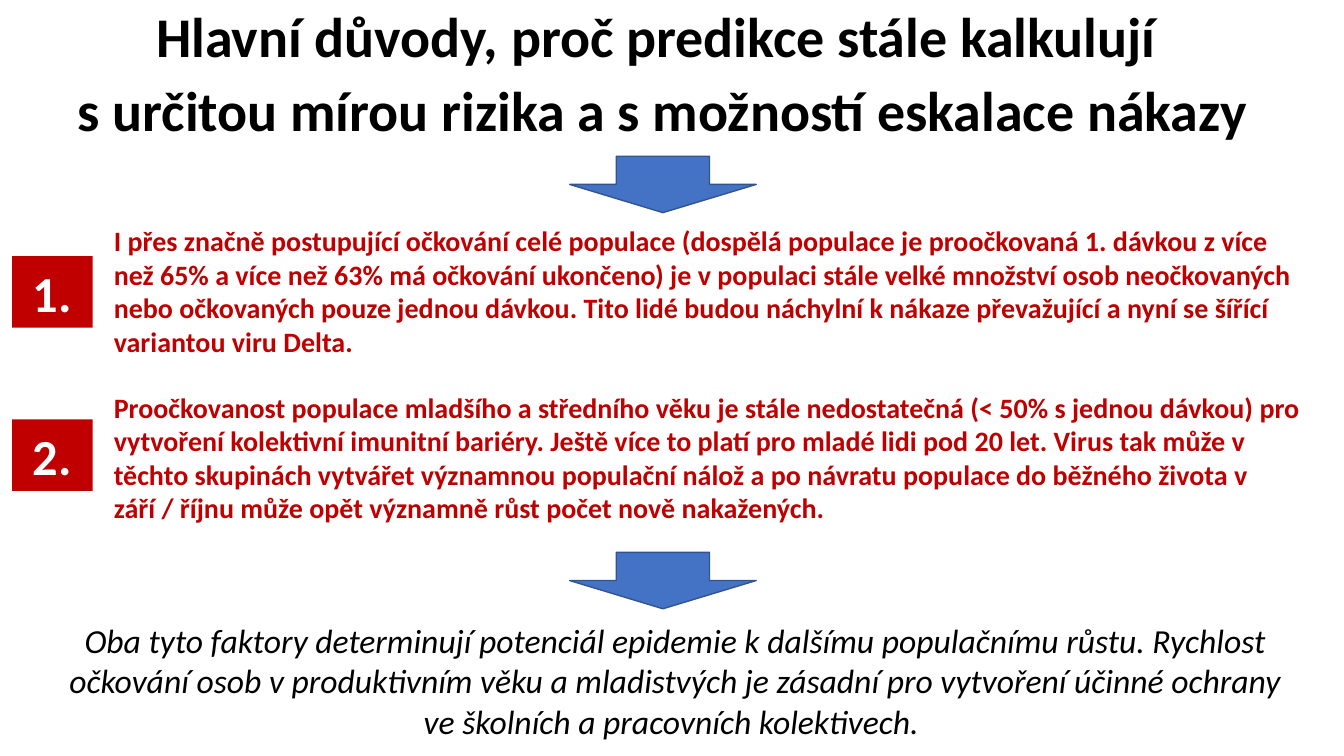
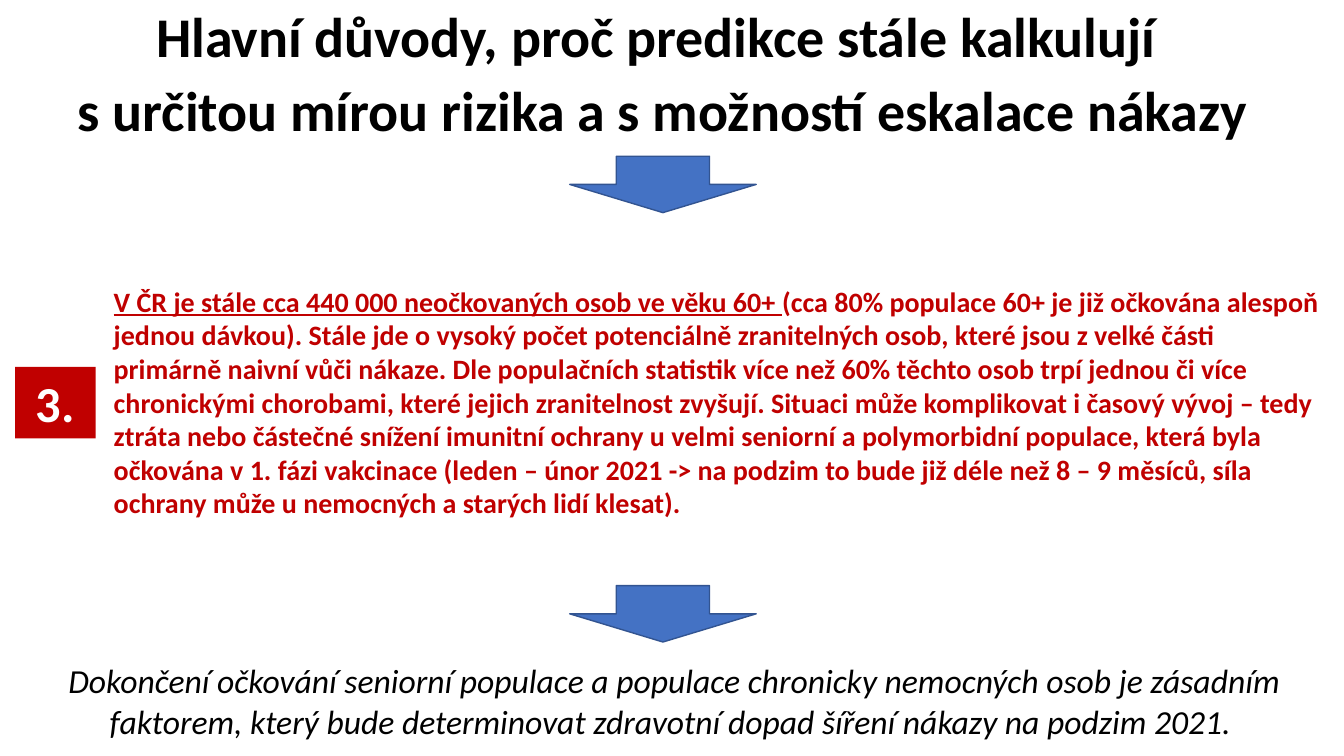
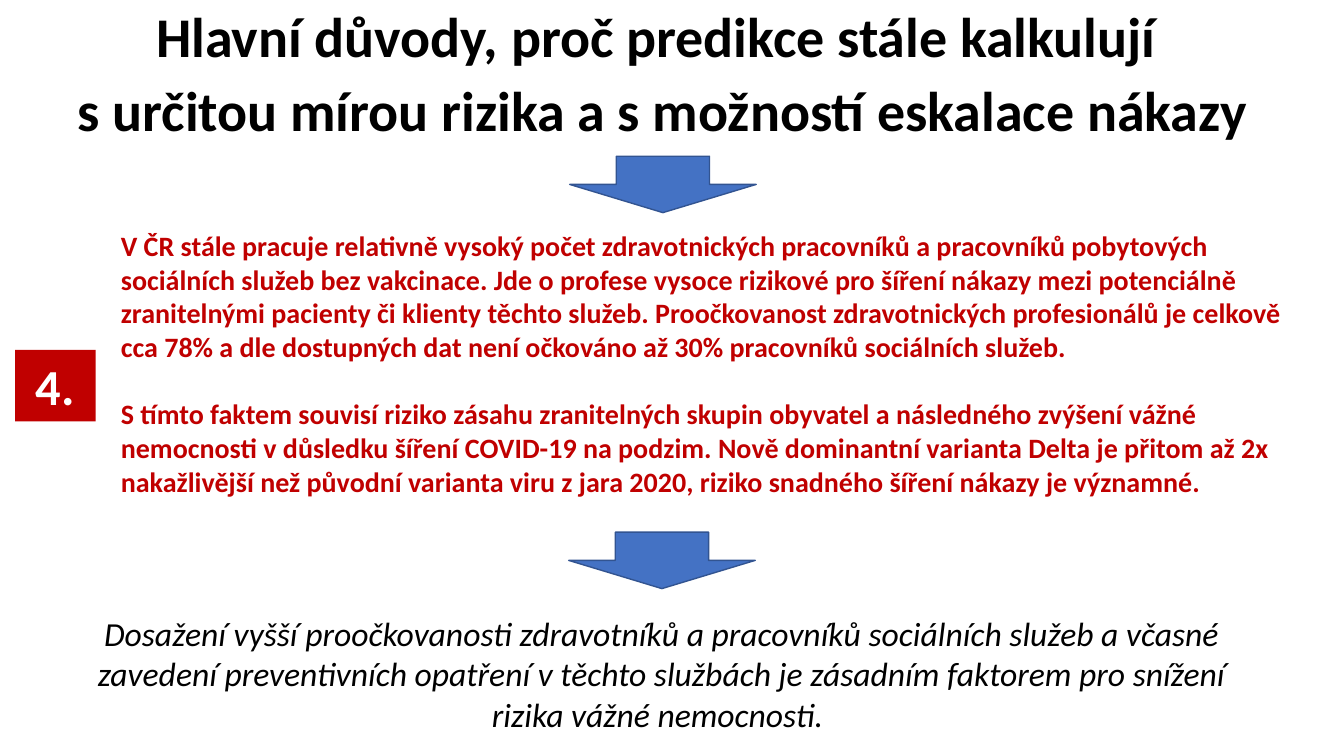
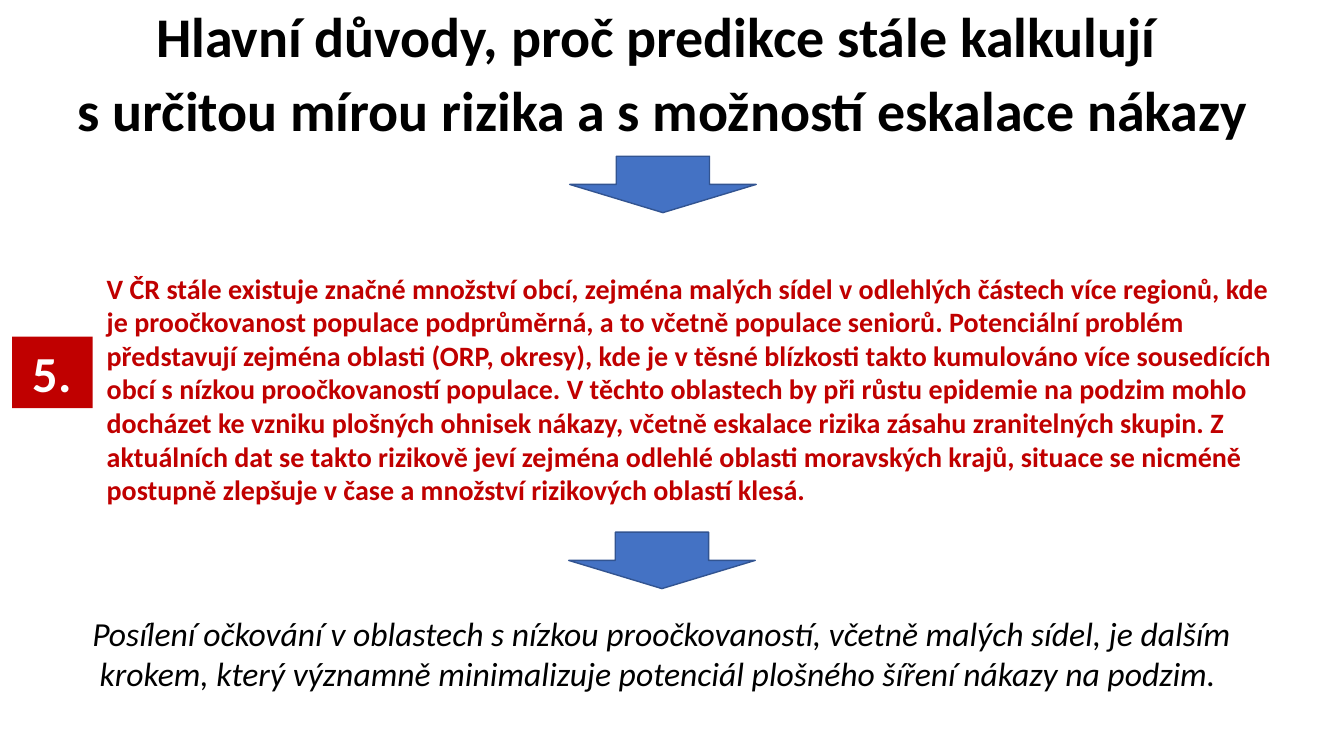
"""Build four slides on the reasons why forecasts still reckon with risk."""
from pptx import Presentation
from pptx import util as u
from pptx.dml.color import RGBColor
from pptx.enum import shapes, text

RED = RGBColor(0xC0, 0x00, 0x00)
BLUE = RGBColor(0x44, 0x72, 0xC4)
NAVY = RGBColor(0x32, 0x54, 0x91)
WHITE = RGBColor(0xFF, 0xFF, 0xFF)
BLACK = RGBColor(0x00, 0x00, 0x00)

LEFT, MID = text.PP_ALIGN.LEFT, text.PP_ALIGN.CENTER
TITLE = {"size": u.Pt(40), "bold": True, "ink": BLACK, "align": MID}
BODY = {"size": u.Pt(20), "bold": True, "ink": RED, "align": LEFT}
BADGE = {"size": u.Pt(36), "bold": True, "ink": WHITE, "align": MID}
CLOSE = {"size": u.Pt(24), "italic": True, "ink": BLACK, "align": MID}

HEAD = ["Hlavní důvody, proč predikce stále kalkulují ",
        "s určitou mírou rizika a s možností eskalace nákazy"]

SLIDES = [
    {"items": [
        {"at": (1.03, 2.17, 11.99, 1.45), "badge": ("1.", 0.12, 2.54), "text": [
            "I přes značně postupující očkování celé populace (dospělá populace je "
            "proočkovaná 1. dávkou z více než 65% a více než 63% má očkování ukončeno) "
            "je v populaci stále velké množství osob neočkovaných nebo očkovaných pouze "
            "jednou dávkou. Tito lidé budou náchylní k nákaze převažující a nyní se "
            "šířící variantou viru Delta."]},
        {"at": (1.03, 3.82, 11.99, 1.45), "badge": ("2.", 0.12, 4.16), "text": [
            "Proočkovanost populace mladšího a středního věku je stále nedostatečná "
            "(< 50% s jednou dávkou) pro vytvoření kolektivní imunitní bariéry. Ještě "
            "více to platí pro mladé lidi pod 20 let. Virus tak může v těchto skupinách "
            "vytvářet významnou populační nálož a po návratu populace do běžného života "
            "v září / říjnu může opět významně růst počet nově nakažených."]}],
     "arrow": (5.65, 5.48), "at": (0.45, 6.1, 12.49, 1.31), "close":
        "Oba tyto faktory determinují potenciál epidemie k dalšímu populačnímu růstu. "
        "Rychlost očkování osob v produktivním věku a mladistvých je zásadní pro "
        "vytvoření účinné ochrany ve školních a pracovních kolektivech. "},
    {"items": [
        {"at": (1.03, 2.77, 12.16, 2.46), "badge": ("3.", 0.15, 3.64),
         "lead": "V ČR je stále cca 440 000 neočkovaných osob ve věku 60+ ", "text": [
            "(cca 80% populace 60+ je již očkována alespoň jednou dávkou). Stále jde o "
            "vysoký počet potenciálně zranitelných osob, které jsou z velké části "
            "primárně naivní vůči nákaze. Dle populačních statistik více než 60% těchto "
            "osob trpí jednou či více chronickými chorobami, které jejich zranitelnost "
            "zvyšují. Situaci může komplikovat i časový vývoj – tedy ztráta nebo "
            "částečné snížení imunitní ochrany u velmi seniorní a polymorbidní populace, "
            "která byla očkována v 1. fázi vakcinace (leden – únor 2021 -> na podzim to "
            "bude již déle než 8 – 9 měsíců, síla ochrany může u nemocných a starých "
            "lidí klesat)."]}],
     "arrow": (5.65, 5.81), "at": (0.44, 6.5, 12.49, 0.91), "close":
        "Dokončení očkování seniorní populace a populace chronicky nemocných osob je "
        "zásadním faktorem, který bude determinovat zdravotní dopad šíření nákazy na "
        "podzim 2021. "},
    {"items": [
        {"at": (1.1, 2.22, 11.99, 2.79), "badge": ("4.", 0.15, 3.47), "text": [
            "V ČR stále pracuje relativně vysoký počet zdravotnických pracovníků a "
            "pracovníků pobytových sociálních služeb bez vakcinace. Jde o profese vysoce "
            "rizikové pro šíření nákazy mezi potenciálně zranitelnými pacienty či "
            "klienty těchto služeb. Proočkovanost zdravotnických profesionálů je celkově "
            "cca 78% a dle dostupných dat není očkováno až 30% pracovníků sociálních "
            "služeb.",
            "S tímto faktem souvisí riziko zásahu zranitelných skupin obyvatel a "
            "následného zvýšení vážné nemocnosti v důsledku šíření COVID-19 na podzim. "
            "Nově dominantní varianta Delta je přitom až 2x nakažlivější než původní "
            "varianta viru z jara 2020, riziko snadného šíření nákazy je významné."]}],
     "arrow": (5.64, 5.28), "at": (0.52, 6.03, 12.08, 1.31), "close":
        "Dosažení vyšší proočkovanosti zdravotníků a pracovníků sociálních služeb a "
        "včasné zavedení preventivních opatření v těchto službách je zásadním faktorem "
        "pro snížení rizika vážné nemocnosti. "},
    {"items": [
        {"at": (0.96, 2.64, 11.99, 2.46), "badge": ("5.", 0.12, 3.34), "text": [
            "V ČR stále existuje značné množství obcí, zejména malých sídel v odlehlých "
            "částech více regionů, kde je proočkovanost populace podprůměrná, a to "
            "včetně populace seniorů. Potenciální problém představují zejména oblasti "
            "(ORP, okresy), kde je v těsné blízkosti takto kumulováno více sousedících "
            "obcí s nízkou proočkovaností populace. V těchto oblastech by při růstu "
            "epidemie na podzim mohlo docházet ke vzniku plošných ohnisek nákazy, včetně "
            "eskalace rizika zásahu zranitelných skupin. Z aktuálních dat se takto "
            "rizikově jeví zejména odlehlé oblasti moravských krajů, situace se nicméně "
            "postupně zlepšuje v čase a množství rizikových oblastí klesá."]}],
     "arrow": (5.64, 5.28), "at": (0.52, 6.03, 12.08, 0.91), "close":
        "Posílení očkování v oblastech s nízkou proočkovaností, včetně malých sídel, je "
        "dalším krokem, který významně minimalizuje potenciál plošného šíření nákazy na "
        "podzim. "},
]


def add_run(para, words, style, **extra):
    """Add a run in the given style."""
    run = para.add_run()
    run.text = words
    run.font.name = "Calibri"
    run.font.color.rgb = style["ink"]
    for key, val in {**style, **extra}.items():
        if key not in ("ink", "align"):
            setattr(run.font, key, val)


def write(frame, lines, style, gap=0, pitch=None, lead=None):
    """Fill a text frame with one paragraph per line."""
    frame.word_wrap = True
    for i, line in enumerate(lines):
        para = frame.add_paragraph() if i else frame.paragraphs[0]
        para.alignment = style["align"]
        if pitch:
            para.line_spacing = pitch
        if i:
            para.space_before = u.Pt(gap)
        elif lead:
            add_run(para, lead, style, underline=True)
        add_run(para, line, style)


def add_text(slide, at, lines, style, **opts):
    """Add a text box at left, top, width, height."""
    box = slide.shapes.add_textbox(*map(u.Inches, at))
    write(box.text_frame, lines, style, **opts)


def add_form(slide, kind, at, fill, edge=None):
    """Add a flat preset shape with an optional outline."""
    form = slide.shapes.add_shape(kind, *map(u.Inches, at))
    form.shadow.inherit = False
    form.fill.solid()
    form.fill.fore_color.rgb = fill
    if edge is None:
        form.line.fill.background()
    else:
        form.line.color.rgb = edge
        form.line.width = u.Pt(1)
    return form


def add_arrow(slide, left, top):
    """Add a down arrow."""
    add_form(slide, shapes.MSO_SHAPE.DOWN_ARROW, (left, top, 1.85, 0.56), BLUE, NAVY)


def add_badge(slide, label, left, top):
    """Add a red number badge."""
    form = add_form(slide, shapes.MSO_SHAPE.RECTANGLE, (left, top, 0.8, 0.71), RED)
    form.text_frame.vertical_anchor = text.MSO_ANCHOR.MIDDLE
    write(form.text_frame, [label], BADGE)


def add_slide(deck, data):
    """Add a slide with title, numbered reasons and conclusion."""
    slide = deck.slides.add_slide(deck.slide_layouts[6])
    add_text(slide, (0.22, 0.04, 12.7, 1.45), HEAD, TITLE, gap=10, pitch=0.9)
    add_arrow(slide, 5.65, 1.55)
    for item in data["items"]:
        add_text(slide, item["at"], item["text"], BODY, gap=24, lead=item.get("lead"))
        add_badge(slide, *item["badge"])
    add_arrow(slide, *data["arrow"])
    add_text(slide, data["at"], [data["close"]], CLOSE)


def main():
    """Build and save the deck."""
    deck = Presentation()
    deck.slide_width, deck.slide_height = u.Inches(13.33), u.Inches(7.5)
    for data in SLIDES:
        add_slide(deck, data)
    deck.save("out.pptx")


if __name__ == "__main__":
    main()
